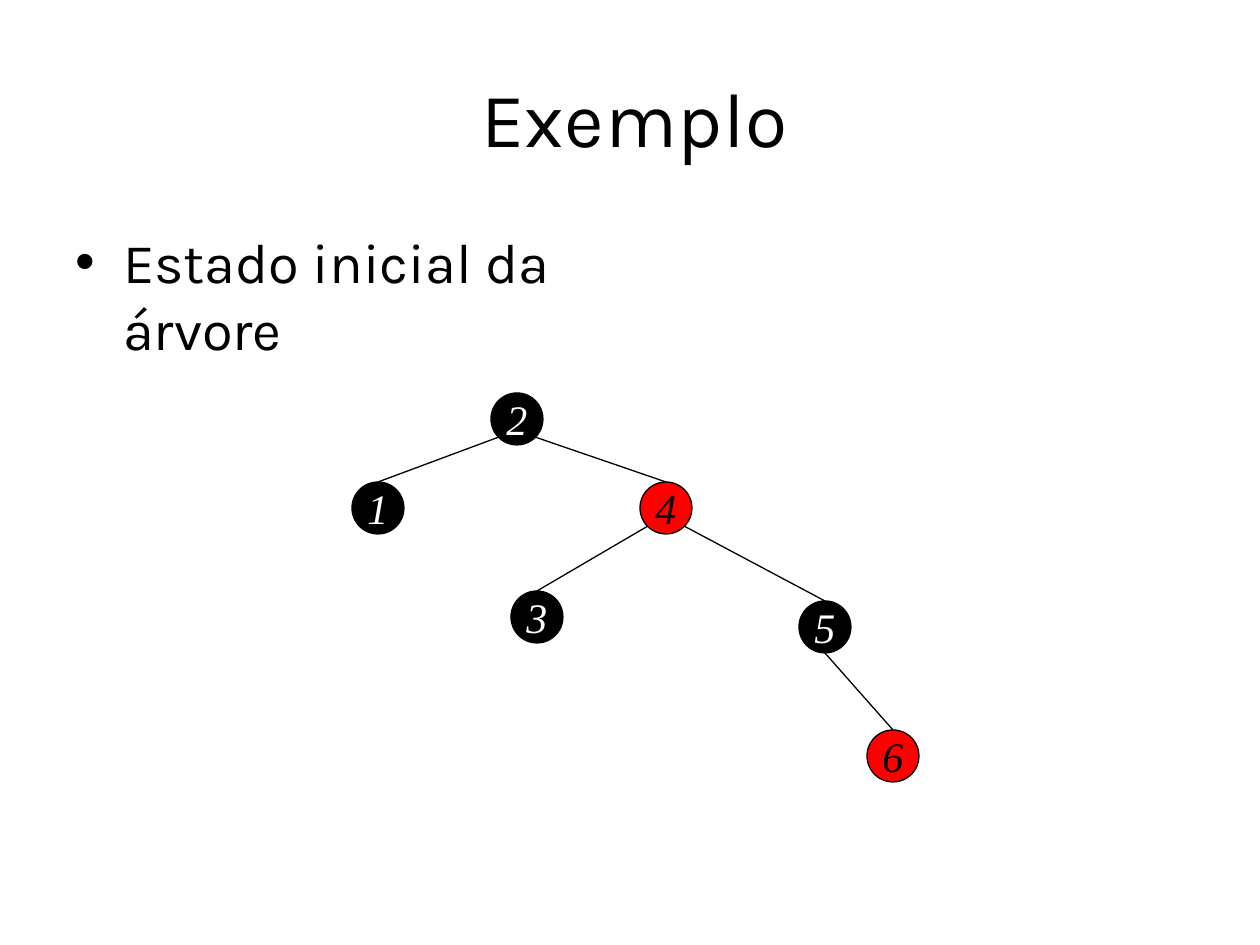
import pptx
import pptx.util
import pptx.dml.color
import pptx.enum.shapes
import pptx.enum.text
import pptx.oxml.ns
import lxml.etree

PX = 914400 / 126
COLORS = {"black": "000000", "red": "FF0000", "white": "FFFFFF"}
DIAMETER = 52
RADIUS = DIAMETER // 2
DIAGONAL = 18


def px(*lengths):
    return [round(length * PX) for length in lengths]


def format_text(frame, font_name, size, color, insets=(0, 0, 0, 0)):
    frame.auto_size = pptx.enum.text.MSO_AUTO_SIZE.NONE
    frame.margin_left, frame.margin_top, frame.margin_right, frame.margin_bottom = px(*insets)
    run = frame.paragraphs[0].runs[0]
    run.font.name = font_name
    run.font.size = pptx.util.Pt(size)
    run.font.color.rgb = pptx.dml.color.RGBColor.from_string(COLORS[color])
    return run


deck = pptx.Presentation()
deck.slide_width, deck.slide_height = px(1260, 945)
slide = deck.slides.add_slide(deck.slide_layouts[1])

heading = slide.shapes.title
heading.left, heading.top, heading.width, heading.height = px(169, -9, 922, 254)
heading.text_frame.text = "Exemplo"
heading.text_frame.vertical_anchor = pptx.enum.text.MSO_ANCHOR.TOP
heading_line = heading.text_frame.paragraphs[0]
heading_line.alignment = pptx.enum.text.PP_ALIGN.LEFT
heading_line._p.get_or_add_pPr().set("marL", str(px(312)[0]))
heading_run = format_text(heading.text_frame, "Karla", 44, "black", (0, 79, 0, 0))
heading_run._r.get_or_add_rPr().set("spc", "40")

state = slide.placeholders[1]
state.left, state.top, state.width, state.height = px(74, 227, 643, 136)
state.text_frame.text = "Estado inicial da árvore"
state_line = state.text_frame.paragraphs[0]
state_line.space_before = pptx.util.Pt(0)
state_properties = state_line._p.get_or_add_pPr()
state_properties.set("marL", str(px(49)[0]))
state_properties.set("indent", str(px(-48)[0]))
format_text(state.text_frame, "Karla", 32, "black")

nodes = {
    "2": (517, 419, "black", "white"),
    "1": (378, 508, "black", "white"),
    "4": (666, 508, "red", "black"),
    "3": (537, 617, "black", "white"),
    "5": (825, 627, "black", "white"),
    "6": (893, 756, "red", "black"),
}
edges = [
    ("2", "1", -DIAGONAL, DIAGONAL),
    ("2", "4", DIAGONAL, DIAGONAL),
    ("4", "3", -DIAGONAL, DIAGONAL),
    ("4", "5", DIAGONAL, DIAGONAL),
    ("5", "6", 0, RADIUS),
]

for parent, child, dx, dy in edges:
    parent_x, parent_y = nodes[parent][:2]
    child_x, child_y = nodes[child][:2]
    edge = slide.shapes.add_connector(
        pptx.enum.shapes.MSO_CONNECTOR.STRAIGHT,
        *px(parent_x + dx, parent_y + dy, child_x, child_y - RADIUS),
    )
    edge.line.color.rgb = pptx.dml.color.RGBColor.from_string(COLORS["black"])
    edge.line.width = pptx.util.Pt(0.75)
    lxml.etree.SubElement(edge._element.spPr, pptx.oxml.ns.qn("a:effectLst"))

for key, (x, y, fill, ink) in nodes.items():
    node = slide.shapes.add_shape(
        pptx.enum.shapes.MSO_SHAPE.OVAL,
        *px(x - RADIUS, y - RADIUS, DIAMETER, DIAMETER),
    )
    node.shadow.inherit = False
    node.fill.solid()
    node.fill.fore_color.rgb = pptx.dml.color.RGBColor.from_string(COLORS[fill])
    node.line.color.rgb = pptx.dml.color.RGBColor.from_string(COLORS["black"])
    node.line.width = pptx.util.Pt(0.75)
    node.text_frame.text = key
    node.text_frame.word_wrap = False
    node.text_frame.vertical_anchor = pptx.enum.text.MSO_ANCHOR.MIDDLE
    node.text_frame.paragraphs[0].alignment = pptx.enum.text.PP_ALIGN.CENTER
    key_run = format_text(node.text_frame, "Times New Roman", 24, ink)
    key_run.font.italic = True

deck.save("out.pptx")
